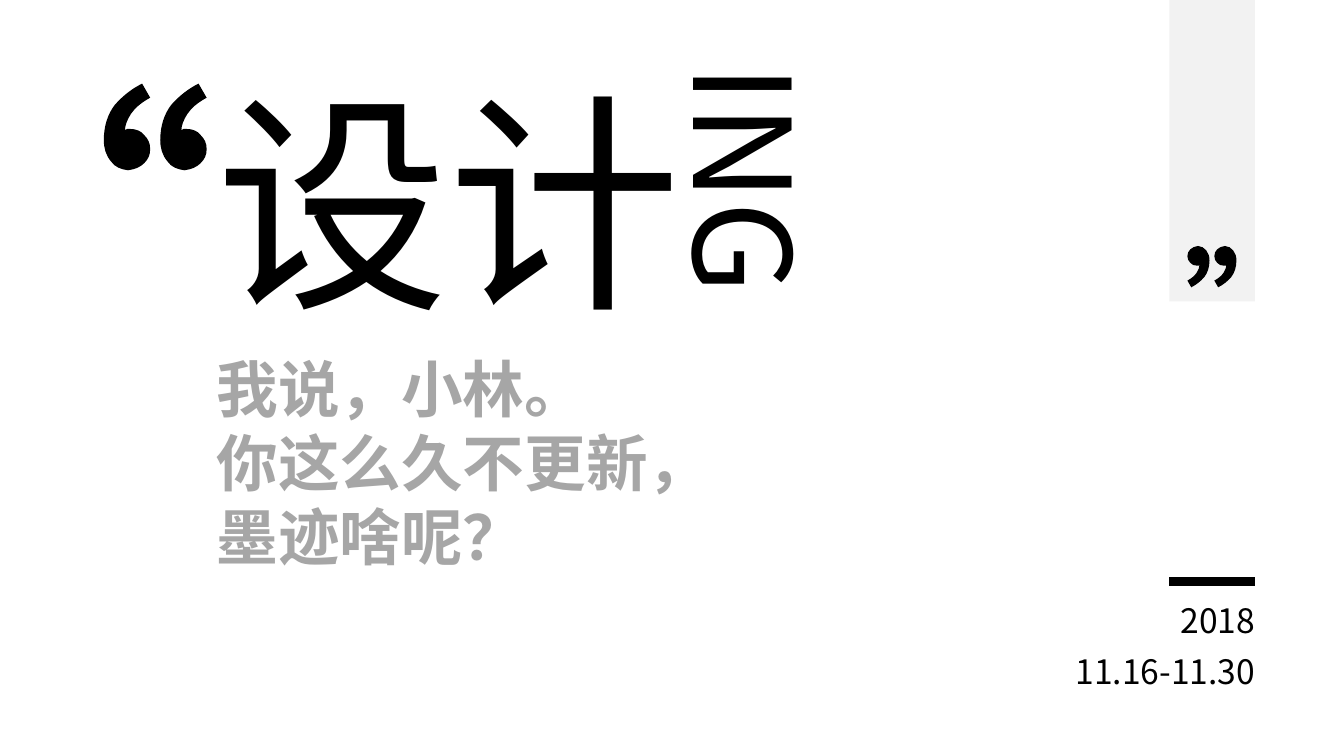
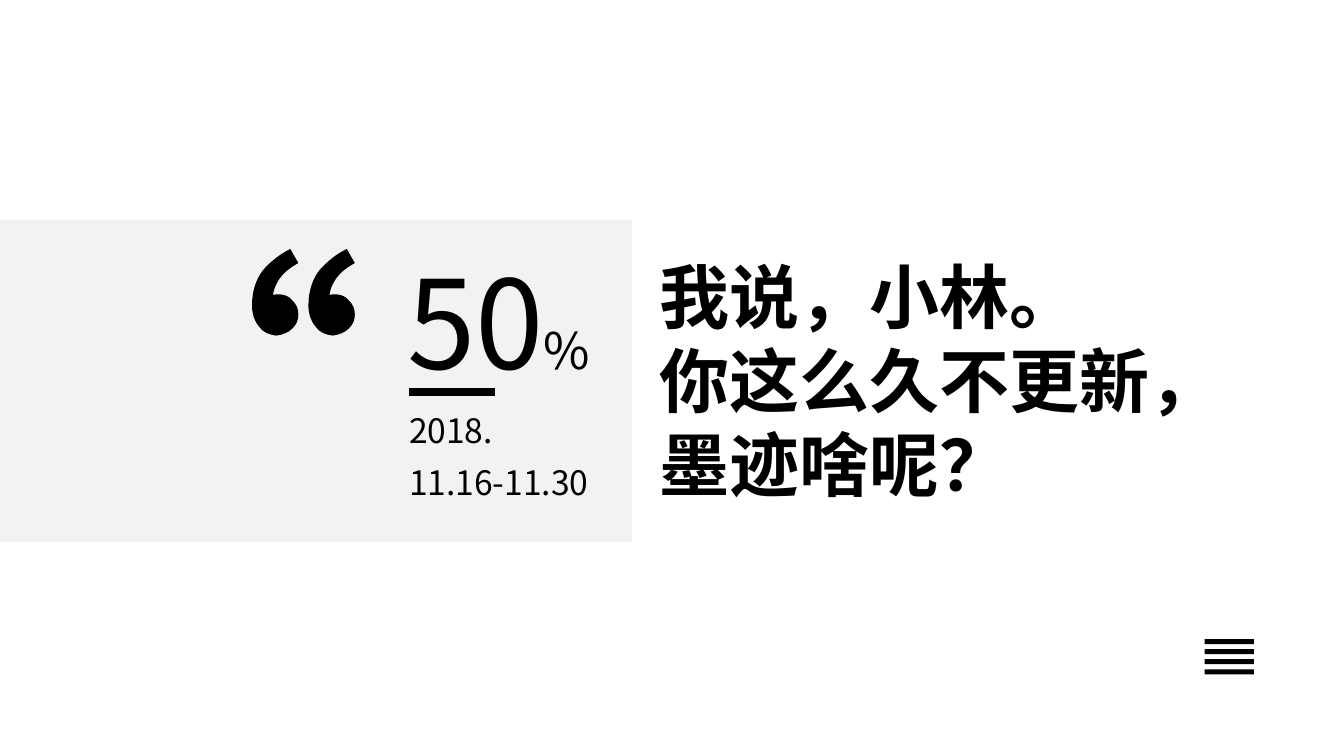
from dataclasses import dataclass

from lxml import etree
from pptx import Presentation
from pptx.dml.color import RGBColor
from pptx.enum.shapes import MSO_CONNECTOR, MSO_SHAPE
from pptx.enum.text import MSO_AUTO_SIZE, PP_ALIGN
from pptx.oxml.ns import qn
from pptx.util import Pt

RECT = MSO_SHAPE.RECTANGLE
STRAIGHT = MSO_CONNECTOR.STRAIGHT
FIT_SHAPE = MSO_AUTO_SIZE.SHAPE_TO_FIT_TEXT
LEFT, RIGHT = PP_ALIGN.LEFT, PP_ALIGN.RIGHT

PX = 9144  # EMU, 100 px to the inch
HEIGHT = 750
BLANK = 6

SAYING = ["我说，小林。", "你这么久不更新，", "墨迹啥呢？"]
DAYS = "11.16-11.30"

# One quotation mark: start, straight edge, then three points per Bezier curve
MARK = [
    (38, 0), (46, 14),
    (37, 19), (31, 24), (27, 30),
    (23, 36), (21, 42), (21, 46),
    (21, 46), (22, 46), (23, 45),
    (24, 45), (25, 45), (26, 45),
    (32, 45), (37, 47), (40, 51),
    (44, 55), (46, 59), (46, 65),
    (46, 71), (44, 75), (40, 79),
    (36, 83), (31, 85), (24, 86),
    (17, 85), (11, 83), (7, 77),
    (2, 71), (0, 64), (0, 56),
    (0, 42), (4, 30), (11, 21),
    (19, 12), (28, 5), (38, 0),
]
MARK_HEIGHT = 86
MARK_GAP = 56


@dataclass(frozen=True)
class Theme:
    font: str = "Noto Sans CJK SC"
    ink: RGBColor = RGBColor(0x00, 0x00, 0x00)
    muted: RGBColor = RGBColor(0xA6, 0xA6, 0xA6)
    panel: RGBColor = RGBColor(0xF2, 0xF2, 0xF2)
    title: int = 166
    suffix: int = 96
    number: int = 88
    statement: int = 50
    subtitle: int = 44
    unit: int = 36
    date: int = 24
    rule: int = 6


def round_off(sp, contours):
    """Turn the lines after each contour's first edge into Bezier curves."""
    lines = list(sp._element.iter(qn("a:lnTo")))
    per_contour = len(lines) // contours
    for start in range(0, len(lines), per_contour):
        for i in range(start + 1, start + per_contour, 3):
            curve = etree.Element(qn("a:cubicBezTo"))
            lines[i].addprevious(curve)
            for line in lines[i:i + 3]:
                curve.append(line[0])
                line.getparent().remove(line)


class Deck:
    def __init__(self, theme):
        self.theme = theme
        self.prs = Presentation()
        self.prs.slide_width = HEIGHT * PX * 16 // 9
        self.prs.slide_height = HEIGHT * PX
        self.s = None

    def slide(self):
        self.s = self.prs.slides.add_slide(self.prs.slide_layouts[BLANK])

    def paint(self, sp, color):
        sp.shadow.inherit = False
        sp.fill.solid()
        sp.fill.fore_color.rgb = color
        sp.line.fill.background()

    def rect(self, x, y, w, h, color, parent=None):
        shapes = (parent or self.s).shapes
        sp = shapes.add_shape(RECT, x * PX, y * PX, w * PX, h * PX)
        self.paint(sp, color)

    def rule(self, x, y, w):
        line = self.s.shapes.add_connector(STRAIGHT, x * PX, y * PX, (x + w) * PX, y * PX)
        line.line.color.rgb = self.theme.ink
        line.line.width = Pt(self.theme.rule)
        etree.SubElement(line._element.spPr, qn("a:effectLst"))

    def text(self, x, y, w, h, lines, size, color=None, bold=False,
             align=LEFT, wrap=False, rotation=0):
        sp = self.s.shapes.add_textbox(x * PX, y * PX, w * PX, h * PX)
        sp.rotation = rotation
        tf = sp.text_frame
        tf.word_wrap = wrap
        tf.auto_size = FIT_SHAPE
        for i, line in enumerate(lines):
            p = tf.add_paragraph() if i else tf.paragraphs[0]
            p.add_run().text = line
            p.alignment = align
            font = p.font
            font.size = Pt(size)
            font.bold = bold
            font.color.rgb = color or self.theme.ink
            font.name = self.theme.font
            etree.SubElement(font._element, qn("a:ea"), typeface=self.theme.font)
        return tf

    def quotes(self, x, y, h, closing=False):
        """A pair of quotation marks, h px high."""
        unit = h * PX / MARK_HEIGHT
        right, left = ([(round(x * PX + (px + shift) * unit), round(y * PX + py * unit))
                        for px, py in MARK] for shift in (MARK_GAP, 0))
        builder = self.s.shapes.build_freeform(*right[0], scale=1.0)
        builder.add_line_segments(right[1:], close=True)
        builder.move_to(*left[0])
        builder.add_line_segments(left[1:], close=True)
        sp = builder.convert_to_shape()
        round_off(sp, 2)
        sp.rotation = 180 if closing else 0
        self.paint(sp, self.theme.ink)

    def date(self, edge, y, year, year_w, align=LEFT):
        """Short rule with year and days below, aligned to one edge."""
        rule_w, inset = 85, 10
        right = align == RIGHT
        self.rule(edge - rule_w if right else edge, y, rule_w)
        for i, (label, w) in enumerate([(year, year_w), (DAYS, 213)]):
            x = edge + inset - w if right else edge - inset
            self.text(x, y + 13 + 51 * i, w, 50, [label], self.theme.date, align=align)

    def menu_icon(self, x, y):
        group = self.s.shapes.add_group_shape()
        for i in range(4):
            self.rect(x, y + 10 * i, 49, 5, self.theme.ink, group)


def cover(deck):
    t = deck.theme
    deck.slide()
    # Title
    deck.text(606, 103, 269, 172, ["ING"], t.suffix, rotation=90)
    deck.text(205, 54, 486, 289, ["设计"], t.title)
    deck.quotes(103, 83, 86)
    # Date and saying
    deck.date(1245, 577, "2018", 99, RIGHT)
    deck.text(205, 343, 528, 232, SAYING, t.subtitle, t.muted, bold=True, wrap=True)
    # Hanging band
    deck.rect(1160, 0, 85, 299, t.panel)
    deck.quotes(1178, 244, 41, closing=True)


def statement(deck):
    t = deck.theme
    deck.slide()
    deck.rect(0, 218, 627, 320, t.panel)
    deck.text(644, 247, 680, 263, SAYING, t.statement, bold=True, wrap=True)
    # Figure with a smaller unit
    tf = deck.text(394, 239, 213, 158, ["50"], t.number)
    r = tf.paragraphs[0].add_run()
    r.text = "%"
    r.font.size = Pt(t.unit)
    # Date, icon and quotation marks
    deck.date(406, 389, "2018.", 110)
    deck.menu_icon(1195, 634)
    deck.quotes(250, 247, 86)


def main():
    deck = Deck(Theme())
    cover(deck)
    statement(deck)
    deck.prs.save("out.pptx")


if __name__ == "__main__":
    main()
